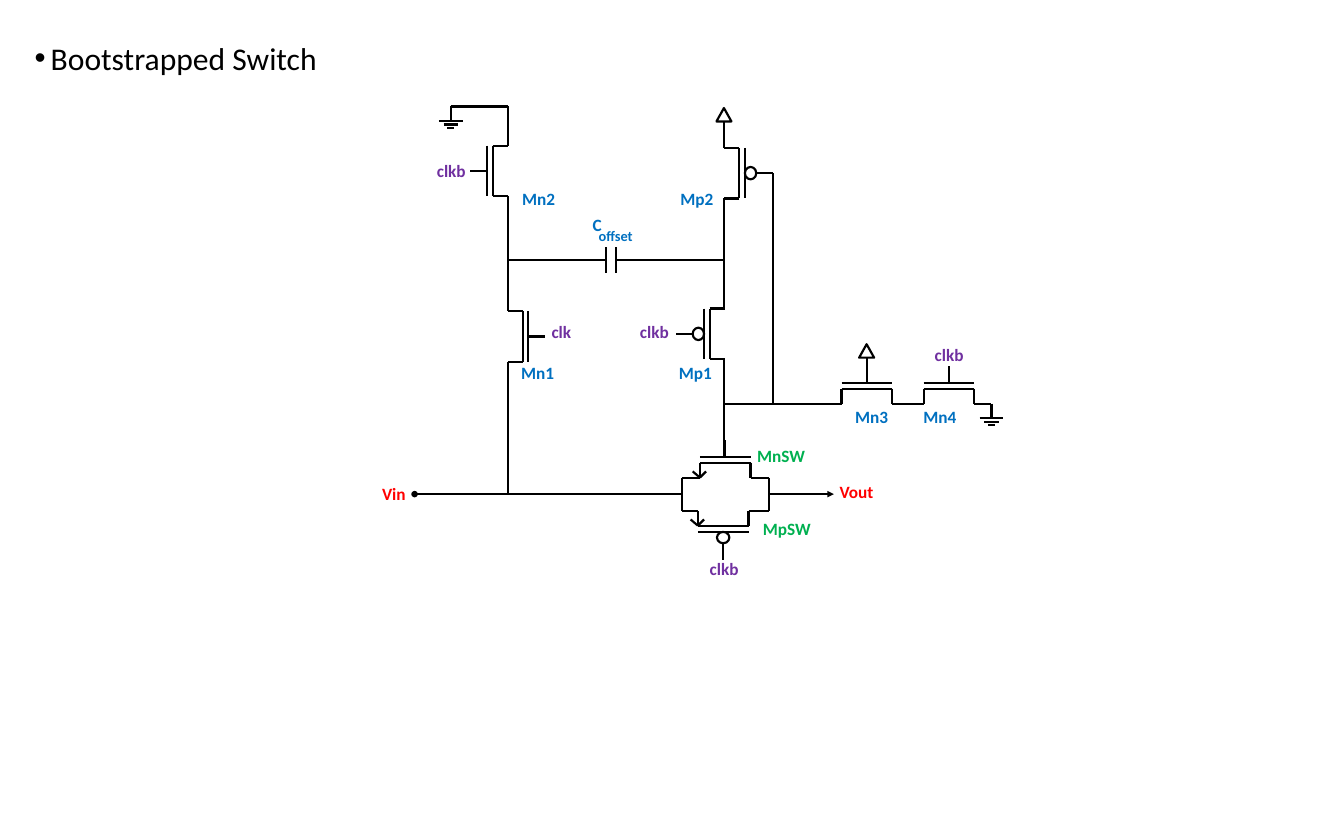
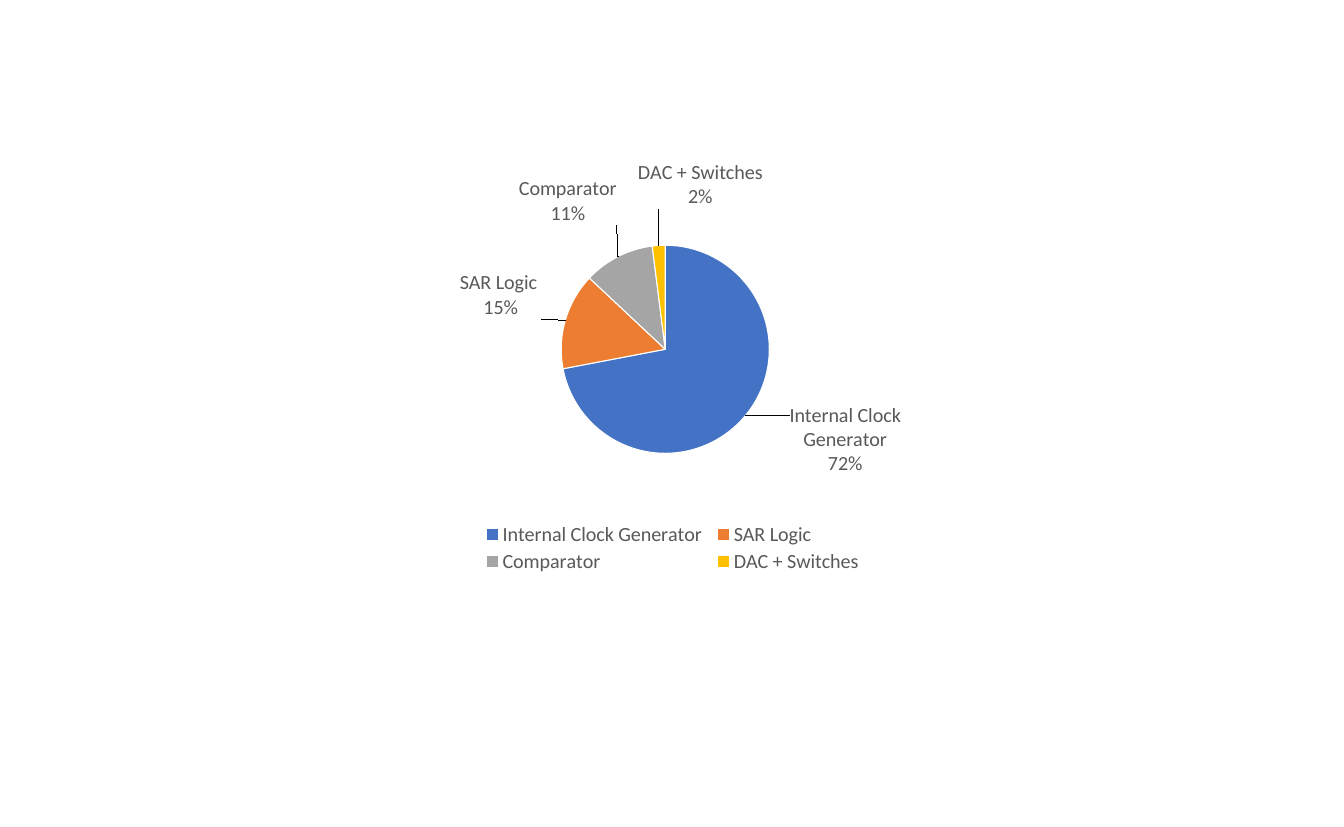
from lxml.etree import SubElement
from pptx import Presentation
from pptx.chart.data import CategoryChartData
from pptx.dml.color import RGBColor
from pptx.enum.chart import XL_CHART_TYPE as ChartType, XL_LABEL_POSITION as LabelPos, XL_LEGEND_POSITION as LegendPos
from pptx.enum.shapes import MSO_CONNECTOR as Connector, MSO_SHAPE as Shape
from pptx.enum.text import MSO_ANCHOR as Anchor, MSO_AUTO_SIZE as AutoSize, PP_ALIGN as Align
from pptx.oxml.ns import qn
from pptx.util import Cm, Pt

BLACK = RGBColor(0x00, 0x00, 0x00)
WHITE = RGBColor(0xFF, 0xFF, 0xFF)
GRAY = RGBColor(0x59, 0x59, 0x59)
DEVICE_BLUE = RGBColor(0x00, 0x70, 0xC0)
SWITCH_GREEN = RGBColor(0x00, 0xB0, 0x50)
SIGNAL_RED = RGBColor(0xFF, 0x00, 0x00)
CLOCK_PURPLE = RGBColor(0x70, 0x30, 0xA0)
SLICE_BLUE = RGBColor(0x44, 0x72, 0xC4)
SLICE_ORANGE = RGBColor(0xED, 0x7D, 0x31)
SLICE_GRAY = RGBColor(0xA5, 0xA5, 0xA5)
SLICE_YELLOW = RGBColor(0xFF, 0xC0, 0x00)

FONT = "Calibri"
CM_PER_UNIT = 2.54
TITLE_FONT = {"name": FONT, "size": Pt(44), "bold": False}
LABEL_FONT = {"name": FONT, "size": Pt(24), "bold": True}
SUBSCRIPT_FONT = {**LABEL_FONT, "size": Pt(20)}
CHART_FONT = {"name": FONT, "size": Pt(28), "bold": False}

RIGHT, LEFT, DOWN, UP = (1, 0), (-1, 0), (0, 1), (0, -1)
HALF_CHANNEL, CHANNEL, TERMINAL = 0.49, 0.11, 0.4
LEAD, BUBBLE, BUBBLE_WIDTH = 0.32, 0.22, 0.24


def units(*values):
    return [Cm(value * CM_PER_UNIT) for value in values]


def set_values(target, values):
    for name, value in values.items():
        setattr(target, name, value)


def set_font(font, values, color):
    set_values(font, values)
    font.color.rgb = color


def add_layout(parent, position, **values):
    for old in parent.findall(qn("c:layout")):
        parent.remove(old)
    layout = SubElement(parent, qn("c:layout"))
    parent.insert(position, layout)
    manual = SubElement(layout, qn("c:manualLayout"))
    for tag, value in values.items():
        SubElement(manual, qn(f"c:{tag}")).set("val", str(value))


class Deck:
    def __init__(self):
        self.deck = Presentation()
        self.deck.slide_width, self.deck.slide_height = units(26, 16)
        self.slide = None

    def new_slide(self, layout):
        self.slide = self.deck.slides.add_slide(self.deck.slide_layouts.get_by_name(layout))

    def title(self, text, left, top, width, height):
        heading = self.slide.shapes.title
        box = zip(("left", "top", "width", "height"), units(left, top, width, height))
        set_values(heading, dict(box))
        frame = heading.text_frame
        frame.text = text
        set_values(frame, {"word_wrap": True, "auto_size": AutoSize.NONE,
                           "vertical_anchor": Anchor.MIDDLE})
        paragraph = frame.paragraphs[0]
        paragraph.alignment = Align.LEFT
        set_font(paragraph.runs[0].font, TITLE_FONT, BLACK)
        properties = paragraph.runs[0].font._element.getparent().getparent().get_or_add_pPr()
        indent = Cm(0.79)
        properties.set("marL", str(indent))
        properties.set("indent", str(-indent))
        SubElement(properties, qn("a:buFont")).set("typeface", "Arial")
        SubElement(properties, qn("a:buChar")).set("char", "•")

    def label(self, text, center, top, color, font=LABEL_FONT):
        width = 1.42
        frame = self.slide.shapes.add_textbox(*units(center - width / 2, top, width, 0.5)).text_frame
        frame.word_wrap = True
        frame.text = text
        paragraph = frame.paragraphs[0]
        paragraph.alignment = Align.CENTER
        set_font(paragraph.runs[0].font, font, color)

    def wire(self, start, end, **ends):
        wire = self.slide.shapes.add_connector(Connector.STRAIGHT, *units(*start, *end))
        wire.line.width = Pt(3)
        wire.line.color.rgb = BLACK
        for tag, kind in ends.items():
            SubElement(wire.line._get_or_add_ln(), qn(f"a:{tag}")).set("type", kind)
        SubElement(wire._element.spPr, qn("a:effectLst"))

    def outline(self, preset, left, top, width, height):
        symbol = self.slide.shapes.add_shape(preset, *units(left, top, width, height))
        symbol.shadow.inherit = False
        symbol.fill.background()
        symbol.line.width = Pt(3)
        symbol.line.color.rgb = BLACK

    def transistor(self, x, y, facing, pmos=False):
        dx, dy = facing

        def at(along, depth):
            return x + along * abs(dy) + depth * dx, y + along * abs(dx) + depth * dy

        for depth in (0, CHANNEL):
            self.wire(at(-HALF_CHANNEL, depth), at(HALF_CHANNEL, depth))
        for end in (-HALF_CHANNEL, HALF_CHANNEL):
            self.wire(at(end, CHANNEL), at(end, TERMINAL))
        lead_start = -BUBBLE if pmos else 0
        self.wire(at(0, lead_start), at(0, lead_start - LEAD))
        if pmos:
            center_x, center_y = at(0, -BUBBLE / 2)
            width, height = (BUBBLE, BUBBLE_WIDTH) if dx else (BUBBLE_WIDTH, BUBBLE)
            self.outline(Shape.OVAL, center_x - width / 2, center_y - height / 2, width, height)

    def source_arrow(self, x, y):
        for reach in (-0.14, 0.12):
            self.wire((x, y), (x + reach, y - 0.12))

    def ground(self, x, y):
        self.wire((x, y - 0.28), (x, y))
        for drop, half in ((0, 0.23), (0.07, 0.14), (0.13, 0.07)):
            self.wire((x - half, y + drop), (x + half, y + drop))

    def supply(self, x, top, lead_end):
        self.outline(Shape.ISOSCELES_TRIANGLE, x - 0.15, top, 0.29, 0.26)
        self.wire((x, top + 0.26), (x, lead_end))

    def pie(self, slices, left, top, width, height):
        data = CategoryChartData()
        data.categories = [name for name, *_ in slices]
        data.add_series("Series 1", [value for _, value, *_ in slices])
        chart = self.slide.shapes.add_chart(ChartType.PIE, *units(left, top, width, height), data).chart
        chart.has_title = False
        set_font(chart.font, CHART_FONT, BLACK)
        chart.has_legend = True
        set_values(chart.legend, {"position": LegendPos.BOTTOM, "include_in_layout": False})
        set_font(chart.legend.font, CHART_FONT, GRAY)
        plot = chart.plots[0]
        plot.vary_by_categories = True
        series = plot.series[0]
        for index, (_, _, color, _) in enumerate(slices):
            point = series.points[index]
            point.format.fill.solid()
            point.format.fill.fore_color.rgb = color
            point.format.line.color.rgb = WHITE
            point.format.line.width = Pt(1.5)
            set_font(point.data_label.font, CHART_FONT, GRAY)
            point.data_label.position = LabelPos.OUTSIDE_END
        for label, (*_, (shift_x, shift_y)) in zip(series._element.iter(qn("c:dLbl")), slices):
            for flag, shown in (("showVal", "0"), ("showCatName", "1"), ("showPercent", "1")):
                label.find(qn(f"c:{flag}")).set("val", shown)
            add_layout(label, 1, x=shift_x, y=shift_y)
            SubElement(label, qn("c:separator")).text = "\n"
        edges = {"xMode": "edge", "yMode": "edge"}
        add_layout(chart.element.find(f".//{qn('c:plotArea')}"), 0, layoutTarget="inner",
                   **edges, x=0.34, y=0.3, w=0.3, h=0.44)
        add_layout(chart.element.find(f".//{qn('c:legend')}"), 1,
                   **edges, x=0.22, y=0.88, w=0.56, h=0.12)


def draw_switch(deck):
    deck.new_slide("Title Only")
    deck.title("Bootstrapped Switch", 0.57, 0.7, 23.92, 0.84)

    left_rail, right_rail, feedback = 9.82, 14.01, 14.95
    signal, gate_line, cap_line = 9.56, 7.82, 5.03
    switch_in, switch_out, switch_top, switch_bottom = 13.19, 14.87, 9.24, 9.89

    for x, y, facing, pmos in (
        (9.42, 3.31, RIGHT, False), (10.22, 6.51, LEFT, False),
        (13.62, 6.46, RIGHT, True), (14.41, 3.35, LEFT, True),
        (16.77, 7.41, DOWN, False), (18.36, 7.41, DOWN, False),
        (14.03, 8.84, DOWN, False), (13.99, 10.29, UP, True),
    ):
        deck.transistor(x, y, facing, pmos)
    deck.source_arrow(13.54, switch_top)
    deck.source_arrow(13.5, 10.17)

    for start, end in (
        ((8.72, 2.06), (left_rail, 2.06)),
        ((left_rail, 2.06), (left_rail, 2.82)),
        ((left_rail, 3.79), (left_rail, 6.02)),
        ((left_rail, 7), (left_rail, signal)),
        ((right_rail, 3.84), (right_rail, 5.97)),
        ((right_rail, 6.94), (right_rail, 8.84)),
        ((feedback, 3.35), (feedback, gate_line)),
        ((right_rail, gate_line), (16.28, gate_line)),
        ((17.26, gate_line), (17.87, gate_line)),
        ((18.85, gate_line), (19.18, gate_line)),
        ((switch_in, switch_top), (13.54, switch_top)),
        ((14.52, switch_top), (switch_out, switch_top)),
        ((switch_in, switch_bottom), (13.5, switch_bottom)),
        ((14.48, switch_bottom), (switch_out, switch_bottom)),
        ((switch_in, switch_top), (switch_in, switch_bottom)),
        ((switch_out, switch_top), (switch_out, switch_bottom)),
    ):
        deck.wire(start, end)
    for rail, plate in ((left_rail, 11.72), (right_rail, 11.91)):
        deck.wire((rail, cap_line), (plate, cap_line))
        deck.wire((plate, cap_line - 0.25), (plate, cap_line + 0.25))
    deck.wire((8.02, signal), (switch_in, signal), headEnd="oval")
    deck.wire((switch_out, signal), (16.13, signal), tailEnd="triangle")

    deck.ground(8.72, 2.34)
    deck.ground(19.18, 8.09)
    deck.supply(right_rail, 2.09, 2.87)
    deck.supply(16.77, 6.66, 7.15)

    for color, names in (
        (DEVICE_BLUE, (("Mn1", 10.4, 6.96), ("Mp1", 13.45, 6.96), ("Mn2", 10.42, 3.59),
                       ("Mp2", 13.48, 3.59), ("Mn3", 16.86, 7.82), ("Mn4", 18.18, 7.82),
                       ("C", 11.55, 4.09))),
        (SWITCH_GREEN, (("MnSW", 15.11, 8.57), ("MpSW", 15.22, 9.98))),
        (SIGNAL_RED, (("Vin", 7.62, 9.31), ("Vout", 16.57, 9.26))),
        (CLOCK_PURPLE, (("clkb", 14.01, 10.76), ("clkb", 12.66, 6.16), ("clkb", 18.36, 6.62),
                        ("clkb", 8.73, 3.06), ("clk", 10.86, 6.16))),
    ):
        for name, center, top in names:
            deck.label(name, center, top, color)
    deck.label("offset", 11.91, 4.35, DEVICE_BLUE, SUBSCRIPT_FONT)


def draw_power_share(deck):
    deck.new_slide("Blank")
    deck.pie((
        ("Internal Clock Generator", 72, SLICE_BLUE, (0.06, -0.03)),
        ("SAR Logic ", 15, SLICE_ORANGE, (-0.03, 0)),
        ("Comparator", 11, SLICE_GRAY, (0, -0.06)),
        ("DAC + Switches", 2, SLICE_YELLOW, (0.06, -0.07)),
    ), 6.27, 2, 13.47, 9.15)


def main():
    deck = Deck()
    draw_switch(deck)
    draw_power_share(deck)
    deck.deck.save("out.pptx")


if __name__ == "__main__":
    main()
